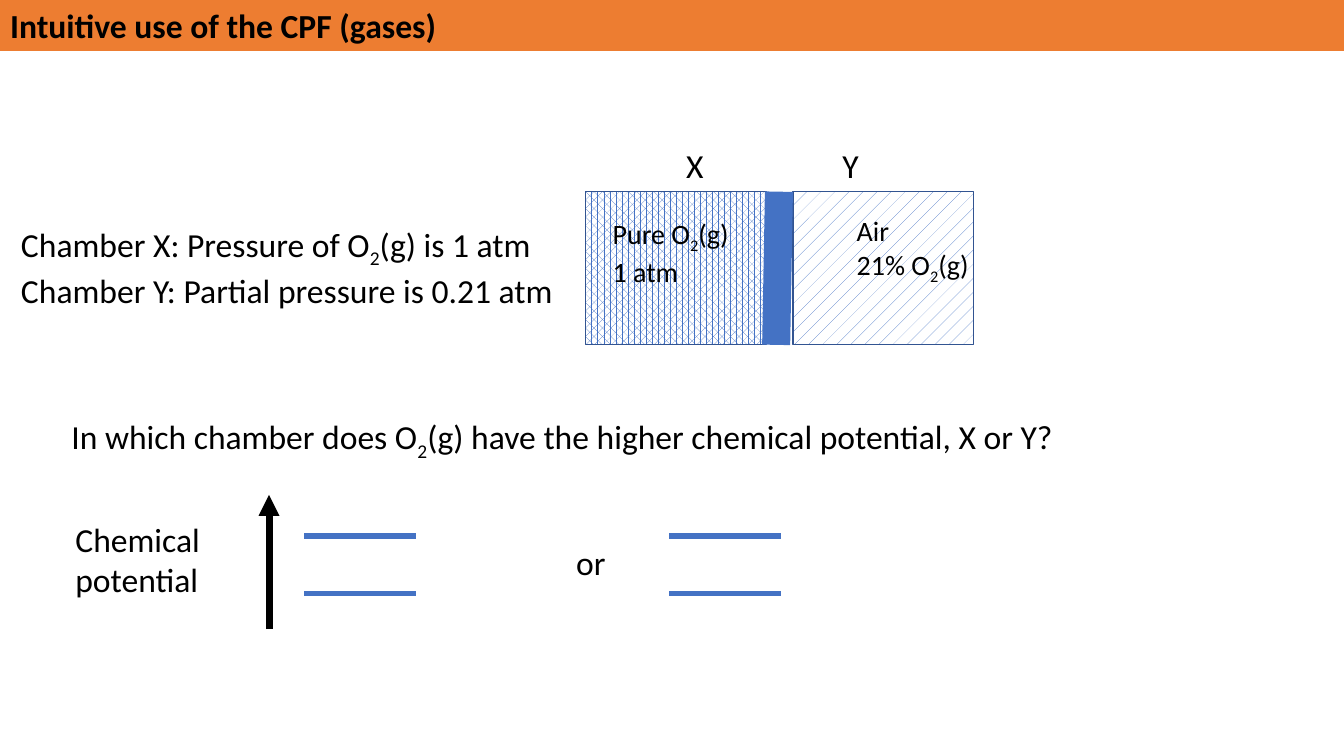
from collections import namedtuple
from dataclasses import dataclass

from pptx import Presentation
from pptx import util as u
from pptx.dml import color
from pptx.enum import dml, shapes, text
from pptx.oxml import ns
from lxml import etree

Box = namedtuple("Box", "left top width height")


@dataclass(frozen=True)
class Theme:
    """Colours, font and type sizes of the deck."""
    font: str = "Calibri"
    ink: str = "000000"
    paper: str = "FFFFFF"
    banner: str = "ED7D31"
    accent: str = "4472C4"
    outline: str = "325491"
    body: int = 24
    small: int = 20


THEME = Theme()


def rgb(code):
    """Turn a hex code into a colour."""
    return color.RGBColor.from_string(code)


def style_run(span, size, bold=False):
    """Give a run the theme font, ink and a size."""
    span.font.name = THEME.font
    span.font.size = u.Pt(size)
    span.font.bold = bold
    span.font.color.rgb = rgb(THEME.ink)


def add_text(page, box, lines, size=THEME.body):
    """Add a text box; an underscore makes the next character a subscript."""
    frame = page.shapes.add_textbox(*(u.Cm(side) for side in box)).text_frame
    frame.word_wrap = True
    for index, line in enumerate(lines):
        para = frame.paragraphs[0] if index == 0 else frame.add_paragraph()
        first, *others = line.split("_")
        pieces = [(first, False)]
        for other in others:
            pieces += [(other[0], True), (other[1:], False)]
        for words, lowered in pieces:
            span = para.add_run()
            span.text = words
            style_run(span, size)
            if lowered:
                span._r.get_or_add_rPr().set("baseline", "-25000")


def add_line(page, start, end, code, width, arrow=False):
    """Draw a straight line, with an arrowhead at its end if asked."""
    line = page.shapes.add_connector(
        shapes.MSO_CONNECTOR.STRAIGHT, *(u.Cm(value) for value in start + end))
    line.line.color.rgb = rgb(code)
    line.line.width = u.Pt(width)
    if arrow:
        etree.SubElement(line.line._get_or_add_ln(), ns.qn("a:tailEnd"), type="triangle")
    etree.SubElement(line._element.spPr, ns.qn("a:effectLst"))


def format_title(page, box, words):
    """Turn the title placeholder into the banner."""
    title = page.shapes.title
    title.left, title.top, title.width, title.height = (u.Cm(side) for side in box)
    title.fill.solid()
    title.fill.fore_color.rgb = rgb(THEME.banner)
    frame = title.text_frame
    frame.text = words
    frame.auto_size = text.MSO_AUTO_SIZE.NONE
    frame.vertical_anchor = text.MSO_ANCHOR.MIDDLE
    para = frame.paragraphs[0]
    para.alignment = text.PP_ALIGN.LEFT
    style_run(para.runs[0], THEME.body, bold=True)


def add_chamber(page, box, pattern):
    """Draw one gas chamber with a pattern fill."""
    chamber = page.shapes.add_shape(
        shapes.MSO_SHAPE.RECTANGLE, *(u.Cm(side) for side in box))
    chamber.shadow.inherit = False
    chamber.fill.patterned()
    chamber.fill.pattern = pattern
    chamber.fill.fore_color.rgb = rgb(THEME.accent)
    chamber.fill.back_color.rgb = rgb(THEME.paper)
    chamber.line.color.rgb = rgb(THEME.outline)
    chamber.line.width = u.Pt(1)


def add_chambers(page, box):
    """Draw the two labelled chambers and the partition between them."""
    width, header = 4.55, 1.3
    top, bottom = box.top + header, box.top + box.height
    right = box.left + box.width - width
    add_chamber(page, Box(right, top, width, box.height - header), dml.MSO_PATTERN.PERCENT_5)
    add_chamber(page, Box(box.left, top, width, box.height - header), dml.MSO_PATTERN.PERCENT_60)
    add_line(page, (box.left + 4.87, top), (box.left + 4.8, bottom), THEME.accent, 20)
    for left, name in ((box.left + 2.28, "X"), (right + 0.99, "Y")):
        add_text(page, Box(left, box.top, 1.85, 1.28), [name])
    add_text(page, Box(box.left + 0.43, top + 0.5, 4, 1.96),
             ["Pure O_2(g)", "1 atm"], THEME.small)
    add_text(page, Box(right + 1.35, top + 0.43, 4, 1.96),
             ["Air", "21% O_2(g)"], THEME.small)


def add_question(page, box):
    """Ask the question above the two empty potential diagrams."""
    add_text(page, Box(box.left, box.top, box.width, 1.28),
             ["In which chamber does O_2(g) have the higher chemical potential, X or Y?"])
    for left in (box.left + 6.12, box.left + 15.32):
        for level in (box.top + 3.15, box.top + 4.6):
            add_line(page, (left, level), (left + 2.82, level), THEME.accent, 4)
    add_text(page, Box(box.left + 0.1, box.top + 2.59, 4.75, 2.31), ["Chemical potential"])
    add_text(page, Box(box.left + 12.72, box.top + 3.18, 3.3, 1.28), ["or"])
    axis = box.left + 5.23
    add_line(page, (axis, box.top + box.height), (axis, box.top + 2.11),
             THEME.ink, 5, arrow=True)


def main():
    """Build and save the deck."""
    deck = Presentation()
    deck.slide_width, deck.slide_height = u.Cm(33.87), u.Cm(19.05)
    page = deck.slides.add_slide(deck.slide_layouts.get_by_name("Title Only"))
    format_title(page, Box(0, 0, 33.87, 1.28), "Intuitive use of the CPF (gases)")
    add_text(page, Box(0.28, 5.51, 14.12, 2.31),
             ["Chamber X: Pressure of O_2(g) is 1 atm",
              "Chamber Y: Partial pressure is 0.21 atm"])
    add_chambers(page, Box(14.76, 3.53, 9.78, 5.16))
    add_question(page, Box(1.55, 10.36, 29.92, 5.49))
    deck.save("out.pptx")


if __name__ == "__main__":
    main()
